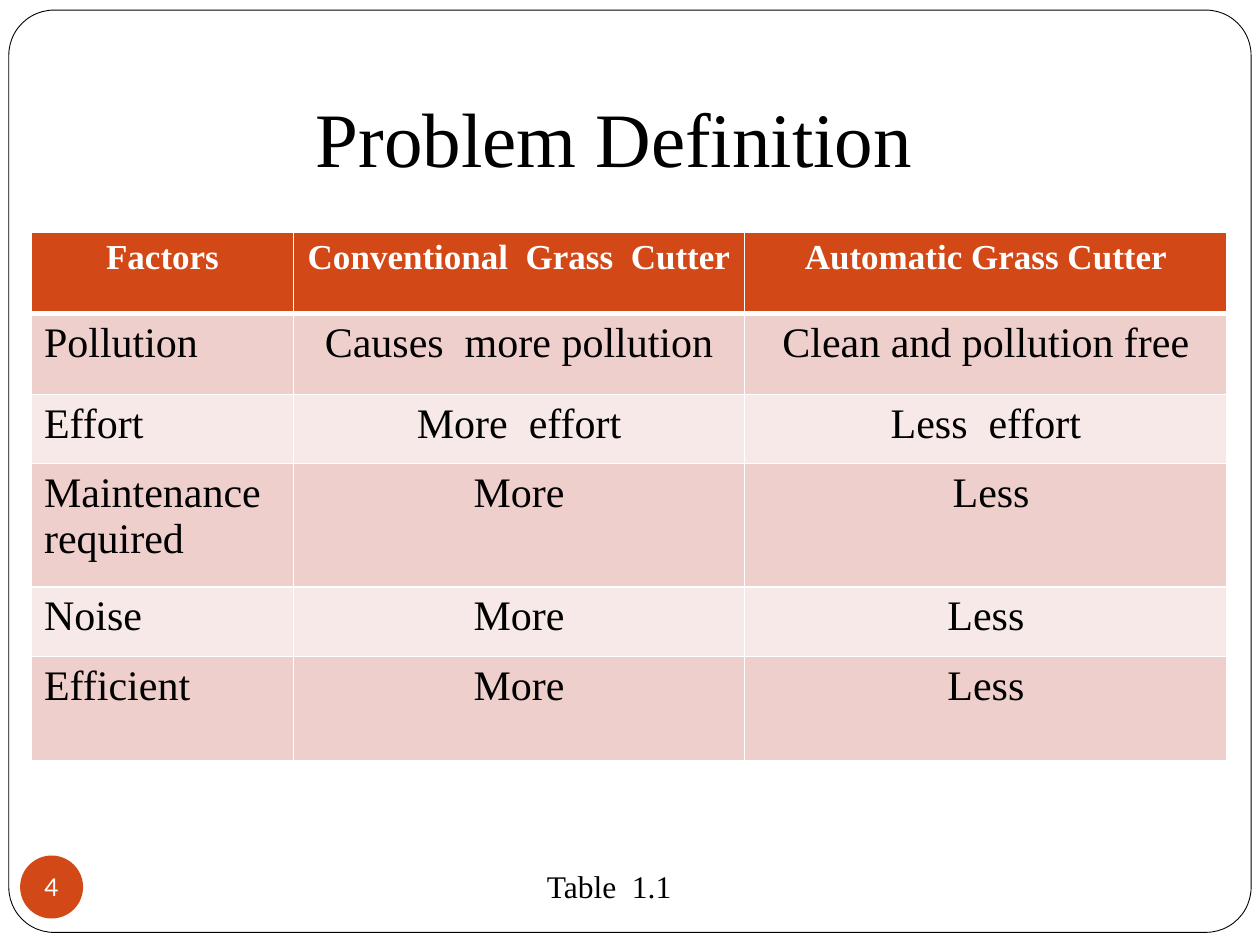
from lxml import etree
from pptx import Presentation
from pptx.dml.color import RGBColor
from pptx.enum.shapes import MSO_SHAPE
from pptx.enum.text import MSO_ANCHOR, PP_ALIGN
from pptx.oxml.ns import qn
from pptx.util import Inches, Pt

BLACK = RGBColor(0, 0, 0)
WHITE = RGBColor(255, 255, 255)
ORANGE = RGBColor(0xD3, 0x48, 0x17)
PINK = RGBColor(0xEF, 0xCF, 0xCC)
PALE_PINK = RGBColor(0xF7, 0xE9, 0xE8)
SERIF = "Times New Roman"


def set_text(tf, text, size, color=BLACK, font=SERIF, bold=False, align=PP_ALIGN.CENTER):
    """Put one formatted paragraph in a text frame."""
    tf.text = text
    p = tf.paragraphs[0]
    p.alignment = align
    f = p.runs[0].font
    f.size, f.name, f.bold = Pt(size), font, bold
    f.color.rgb = color


def set_borders(cell, bottom):
    """Draw white cell borders, with the given bottom width in points."""
    tcPr = cell._tc.get_or_add_tcPr()
    widths = {"a:lnL": 1, "a:lnR": 1, "a:lnT": 1, "a:lnB": bottom}
    for i, (tag, width) in enumerate(widths.items()):
        ln = etree.Element(qn(tag), w=str(Pt(width)))
        fill = etree.SubElement(ln, qn("a:solidFill"))
        etree.SubElement(fill, qn("a:srgbClr"), val=str(WHITE))
        tcPr.insert(i, ln)


prs = Presentation()
prs.slide_width, prs.slide_height = Inches(10), Inches(7.5)
s = prs.slides.add_slide(prs.slide_layouts[6])

frame = s.shapes.add_shape(MSO_SHAPE.ROUNDED_RECTANGLE, Inches(0.07), Inches(0.08), Inches(9.86), Inches(7.32))
frame.adjustments[0] = 0.049
frame.shadow.inherit = False
frame.fill.solid()
frame.fill.fore_color.rgb = WHITE
frame.line.color.rgb = BLACK
frame.line.width = Pt(0.5)

title = s.shapes.add_textbox(Inches(0.25), Inches(0.3), Inches(9.25), Inches(1.25))
tf = title.text_frame
tf.word_wrap = True
tf.vertical_anchor = MSO_ANCHOR.BOTTOM
tf.margin_bottom = Inches(0.1)
set_text(tf, "Problem Definition", 44)

rows = [
    ("Factors", "Conventional  Grass  Cutter", "Automatic Grass Cutter"),
    ("Pollution", "Causes  more pollution", "Clean and pollution free"),
    ("Effort", "More  effort", "Less  effort"),
    ("Maintenance  required", "More", " Less"),
    ("Noise ", "More", "Less"),
    ("Efficient", "More", "Less"),
]
col_widths = [2.08, 3.58, 3.83]
row_heights = [0.65, 0.64, 0.55, 0.98, 0.55, 0.83]
table = s.shapes.add_table(len(rows), len(col_widths), Inches(0.25), Inches(1.84),
                           Inches(sum(col_widths)), Inches(sum(row_heights))).table
for col, width in zip(table.columns, col_widths):
    col.width = Inches(width)
for i, (texts, height) in enumerate(zip(rows, row_heights)):
    table.rows[i].height = Inches(height)
    header = i == 0
    for j, text in enumerate(texts):
        cell = table.cell(i, j)
        cell.fill.solid()
        cell.fill.fore_color.rgb = ORANGE if header else PINK if i % 2 else PALE_PINK
        set_borders(cell, 3 if header else 1)
        set_text(cell.text_frame, text, 20 if header else 24, WHITE if header else BLACK, bold=header,
                 align=PP_ALIGN.CENTER if header or j else PP_ALIGN.LEFT)

badge = s.shapes.add_shape(MSO_SHAPE.OVAL, Inches(0.16), Inches(6.79), Inches(0.5), Inches(0.5))
badge.shadow.inherit = False
badge.fill.solid()
badge.fill.fore_color.rgb = ORANGE
badge.line.fill.background()
tf = badge.text_frame
tf.word_wrap = False
tf.vertical_anchor = MSO_ANCHOR.MIDDLE
tf.margin_left = tf.margin_right = tf.margin_top = tf.margin_bottom = 0
set_text(tf, "4", 14, WHITE, "Lato")

caption = s.shapes.add_textbox(Inches(3.17), Inches(6.83), Inches(3.33), Inches(0.4))
caption.text_frame.word_wrap = True
set_text(caption.text_frame, "Table  1.1", 18)

prs.save("out.pptx")
